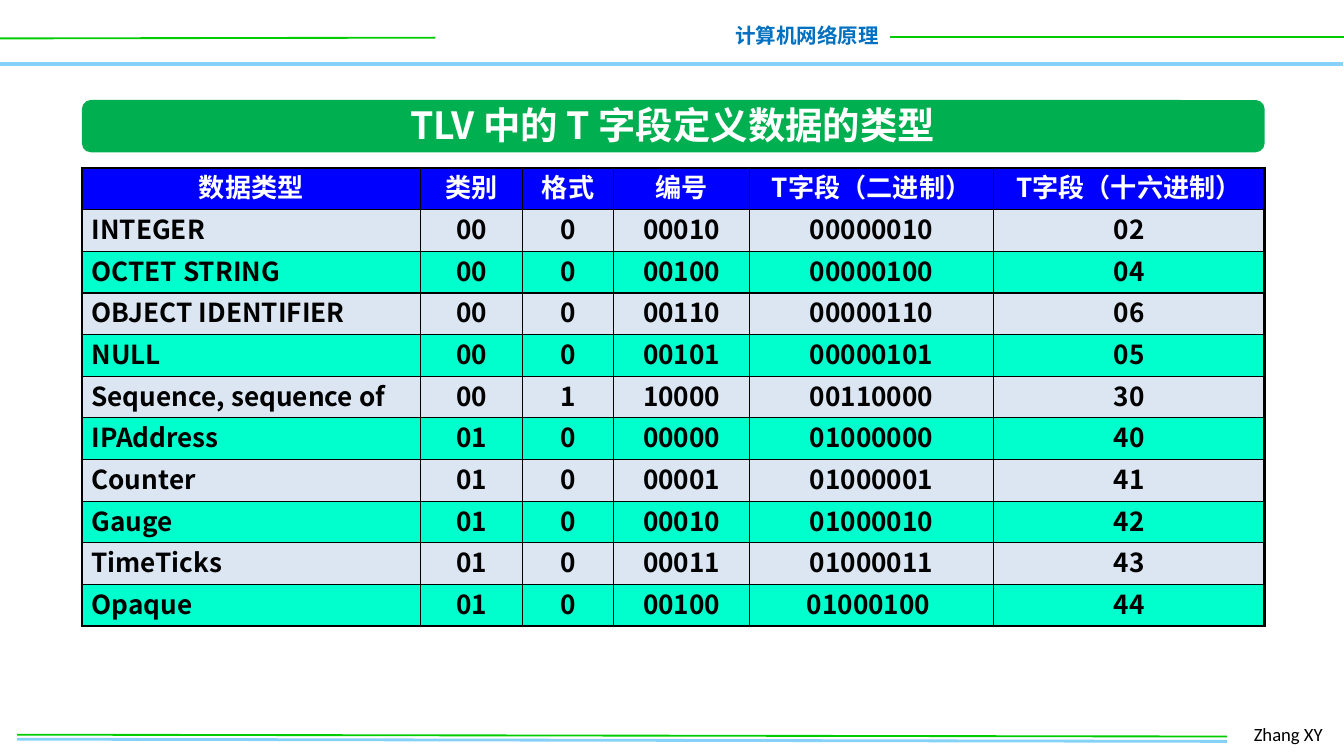
from lxml import etree
from pptx import Presentation
from pptx.dml.color import RGBColor
from pptx.enum.shapes import MSO_CONNECTOR, MSO_SHAPE
from pptx.enum.text import MSO_ANCHOR, PP_ALIGN
from pptx.oxml.ns import qn
from pptx.util import Pt

LEFT, CENTER, RIGHT = PP_ALIGN.LEFT, PP_ALIGN.CENTER, PP_ALIGN.RIGHT
MIDDLE = MSO_ANCHOR.MIDDLE
STRAIGHT = MSO_CONNECTOR.STRAIGHT
ROUNDED = MSO_SHAPE.ROUNDED_RECTANGLE

BLACK = RGBColor(0x00, 0x00, 0x00)
WHITE = RGBColor(0xFF, 0xFF, 0xFF)
SKY = RGBColor(0x85, 0xD1, 0xF7)
LIME = RGBColor(0x00, 0xCC, 0x00)
COURSE_BLUE = RGBColor(0x00, 0x70, 0xC0)
BANNER_GREEN = RGBColor(0x00, 0xB0, 0x50)
HEADER_BLUE = RGBColor(0x00, 0x00, 0xFF)
BAND_COLORS = [RGBColor(0xDC, 0xE6, 0xF2), RGBColor(0x00, 0xFF, 0xCC)]
CJK_FONT = "Noto Sans CJK SC"
LATIN_FONT = "Calibri"

TITLE = "TLV 中的 T 字段定义数据的类型"
COURSE = "计算机网络原理"
AUTHOR = "Zhang XY"
ROWS = [
    ("数据类型", "类别", "格式", "编号", "T字段（二进制）", "T字段（十六进制）"),
    ("INTEGER", "00", "0", "00010", "00000010", "02"),
    ("OCTET STRING", "00", "0", "00100", "00000100", "04"),
    ("OBJECT IDENTIFIER", "00", "0", "00110", "00000110", "06"),
    ("NULL", "00", "0", "00101", "00000101", "05"),
    ("Sequence, sequence of", "00", "1", "10000", "00110000", "30"),
    ("IPAddress", "01", "0", "00000", "01000000", "40"),
    ("Counter", "01", "0", "00001", "01000001", "41"),
    ("Gauge", "01", "0", "00010", "01000010", "42"),
    ("TimeTicks", "01", "0", "00011", "01000011", "43"),
    ("Opaque", "01", "0", "00100", "01000100 ", "44"),
]
COLUMN_WIDTHS = [181.4, 54.7, 48.8, 72.8, 130.8, 145.1]
ROW_HEIGHT = 22.32
TABLE_LEFT, TABLE_TOP = 43.9, 90
TABLE_WIDTH = sum(COLUMN_WIDTHS)
THIN, THICK = 0.75, 1.5
RULES = [
    ((-0.5, 34.2), (719.5, 34.2), SKY, 2),
    ((0, 20.6), (233.3, 20.2), LIME, 1),
    ((476.8, 19.7), (720.5, 19.7), LIME, 1),
    ((9.2, 396), (657.4, 397.2), SKY, 1.5),
    ((9.2, 393.6), (657.4, 394.6), LIME, 1),
]


def write(frame, text, size, color, align, font=CJK_FONT, bold=True):
    frame.text = text
    para = frame.paragraphs[0]
    para.alignment = align
    span = para.runs[0]
    span.font.name, span.font.size, span.font.bold = font, Pt(size), bold
    span.font.color.rgb = color
    east_asian = etree.SubElement(span.font._element, qn("a:ea"))
    east_asian.set("typeface", font)
    return para


def add_rule(page, start, end, color, width):
    rule = page.shapes.add_connector(STRAIGHT, *map(Pt, start + end))
    rule.line.color.rgb, rule.line.width = color, Pt(width)
    etree.SubElement(rule.element.spPr, qn("a:effectLst"))


def add_label(page, position, text, size, color, align, font, bold, wrap):
    box = page.shapes.add_textbox(*map(Pt, position))
    box.text_frame.word_wrap = wrap
    write(box.text_frame, text, size, color, align, font, bold)


def add_title(page):
    title = page.shapes.title
    title.left, title.top, title.width, title.height = map(Pt, (205.2, 51.1, 310.3, 31.7))
    title.text_frame.word_wrap = False
    title.text_frame.vertical_anchor = MIDDLE
    write(title.text_frame, TITLE, 20, WHITE, CENTER)
    banner = page.shapes.add_shape(ROUNDED, *map(Pt, (TABLE_LEFT, 53.6, TABLE_WIDTH, 28)))
    banner.adjustments[0] = 0.17
    banner.shadow.inherit = False
    banner.fill.solid()
    banner.fill.fore_color.rgb = BANNER_GREEN
    banner.line.fill.background()
    title.element.addprevious(banner.element)


def add_border(cell, side, width):
    properties = cell._tc.get_or_add_tcPr()
    line = etree.SubElement(properties, qn("a:ln" + side), w=str(Pt(width)))
    fill = etree.SubElement(line, qn("a:solidFill"))
    etree.SubElement(fill, qn("a:srgbClr"), val=str(BLACK))


def add_types_table(page):
    last_row, last_column = len(ROWS) - 1, len(COLUMN_WIDTHS) - 1
    frame = page.shapes.add_table(
        len(ROWS), len(COLUMN_WIDTHS), Pt(TABLE_LEFT), Pt(TABLE_TOP),
        Pt(TABLE_WIDTH), Pt(ROW_HEIGHT * len(ROWS)))
    table = frame.table
    for column, width in zip(table.columns, COLUMN_WIDTHS):
        column.width = Pt(width)
    for i, values in enumerate(ROWS):
        table.rows[i].height = Pt(ROW_HEIGHT)
        is_header = i == 0
        for j, value in enumerate(values):
            cell = table.cell(i, j)
            cell.margin_left = cell.margin_right = Pt(5.1)
            cell.margin_top = cell.margin_bottom = Pt(0)
            cell.vertical_anchor = MIDDLE
            align = LEFT if j == 0 and not is_header else CENTER
            para = write(cell.text_frame, value, 14, WHITE if is_header else BLACK, align)
            para.line_spacing = Pt(18)
            outer_sides = {"L": j == 0, "R": j == last_column, "T": is_header, "B": i == last_row}
            for side, is_outer in outer_sides.items():
                add_border(cell, side, THICK if is_outer else THIN)
            cell.fill.solid()
            cell.fill.fore_color.rgb = HEADER_BLUE if is_header else BAND_COLORS[(i - 1) % 2]


def main():
    deck = Presentation()
    deck.slide_width, deck.slide_height = Pt(720), Pt(405)
    page = deck.slides.add_slide(deck.slide_layouts[5])
    for rule in RULES:
        add_rule(page, *rule)
    add_label(page, (385.9, 8.6, 92.2, 20.9), COURSE, 11, COURSE_BLUE, RIGHT, CJK_FONT, True, False)
    add_label(page, (664.6, 383.8, 53.3, 19.4), AUTHOR, 10, BLACK, LEFT, LATIN_FONT, False, True)
    add_title(page)
    add_types_table(page)
    deck.save("out.pptx")


if __name__ == "__main__":
    main()
